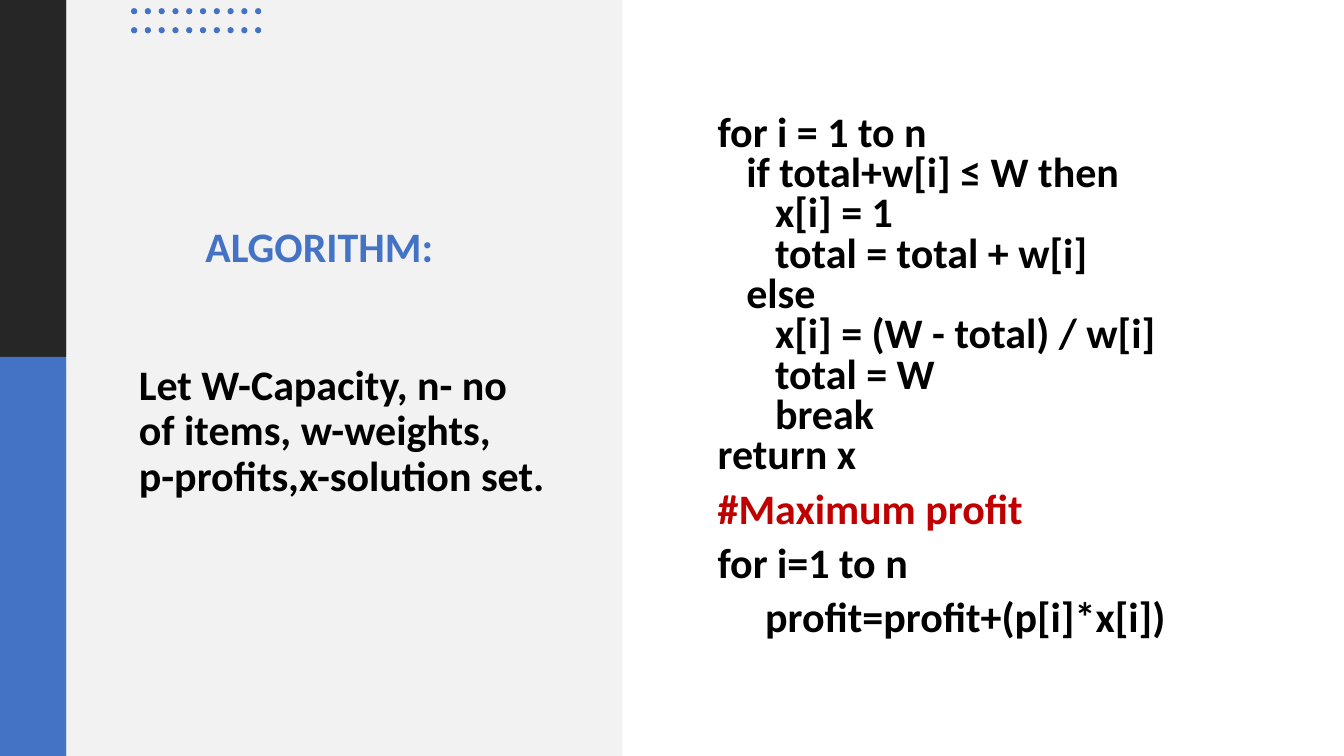
import pptx
import pptx.util
import pptx.dml.color
import pptx.enum.shapes
import pptx.enum.text

Pt = pptx.util.Pt
RGBColor = pptx.dml.color.RGBColor
Shape = pptx.enum.shapes.MSO_SHAPE

DARK = RGBColor(0x26, 0x26, 0x26)
BLUE = RGBColor(0x44, 0x72, 0xC4)
PALE = RGBColor(0xF2, 0xF2, 0xF2)
BLACK = RGBColor(0, 0, 0)
RED = RGBColor(0xC0, 0, 0)

PAGE_WIDTH, PAGE_HEIGHT = 960, 540
STRIP_WIDTH, STRIP_SPLIT = 47.5, 255
PANEL_RIGHT = 444.5

# Text, left indent, space before, colour
CODE_LINES = [
    ("for i = 1 to n", 0, 0, BLACK),
    ("if total+w[i] ≤ W then", 20.5, 0, BLACK),
    ("x[i] = 1", 41, 0, BLACK),
    ("total = total + w[i]", 41, 0, BLACK),
    ("else", 20.5, 0, BLACK),
    ("x[i] = (W - total) / w[i]", 41, 0, BLACK),
    ("total = W", 41, 0, BLACK),
    ("break", 41, 0, BLACK),
    ("return x", 0, 0, BLACK),
    ("#Maximum profit", 0, 10, RED),
    ("for i=1 to n", 0, 10, BLACK),
    ("profit=profit+(p[i]*x[i])", 34, 10, BLACK),
]


def place(shape, box):
    shape.left, shape.top, shape.width, shape.height = map(Pt, box)


def add_filled(shapes, kind, box, color):
    shape = shapes.add_shape(kind, *map(Pt, box))
    shape.shadow.inherit = False
    shape.fill.solid()
    shape.fill.fore_color.rgb = color
    shape.line.fill.background()


def prepare_frame(frame):
    frame.word_wrap = True
    frame.auto_size = pptx.enum.text.MSO_AUTO_SIZE.NONE
    frame.vertical_anchor = pptx.enum.text.MSO_ANCHOR.MIDDLE


def write_para(para, text, color=BLACK, indent=0, before=0, after=0, spacing=0.9):
    para.alignment = pptx.enum.text.PP_ALIGN.LEFT
    para.line_spacing = spacing
    para.space_before, para.space_after = Pt(before), Pt(after)
    para._p.get_or_add_pPr().set("marL", str(Pt(indent)))
    span = para.add_run()
    span.text = text
    span.font.name, span.font.size, span.font.bold = "Calibri", Pt(30), True
    span.font.color.rgb = color


def add_panels(page, box):
    left, top, width, height = box
    split = top + STRIP_SPLIT
    add_filled(page.shapes, Shape.RECTANGLE, (left, top, STRIP_WIDTH, STRIP_SPLIT), DARK)
    add_filled(page.shapes, Shape.RECTANGLE,
               (left, split, STRIP_WIDTH, height - STRIP_SPLIT), BLUE)
    add_filled(page.shapes, Shape.RECTANGLE,
               (left + STRIP_WIDTH, top, width - STRIP_WIDTH, height), PALE)


def add_dots(page, box, columns=10, rows=2, size=4.4):
    left, top, width, height = box
    group = page.shapes.add_group_shape()
    for row in range(rows):
        for column in range(columns):
            x = left + column * (width - size) / (columns - 1)
            y = top + row * (height - size) / (rows - 1)
            add_filled(group.shapes, Shape.OVAL, (x, y, size, size), BLUE)


def fill_title(page, box):
    title = page.shapes.title
    place(title, box)
    # Bring the title in front of the panels
    title.element.getparent().append(title.element)
    frame = title.text_frame
    prepare_frame(frame)
    write_para(frame.paragraphs[0], "ALGORITHM:", color=BLUE, indent=47.5, after=66)
    write_para(frame.add_paragraph(), "Let W-Capacity, n- no of items, w-weights,")
    write_para(frame.add_paragraph(), "p-profits,x-solution set.")


def add_code(page, box):
    frame = page.shapes.add_textbox(*map(Pt, box)).text_frame
    prepare_frame(frame)
    frame.margin_top = Pt(25)
    for number, (text, indent, before, color) in enumerate(CODE_LINES):
        para = frame.add_paragraph() if number else frame.paragraphs[0]
        write_para(para, text, color=color, indent=indent, before=before, spacing=0.8)


deck = pptx.Presentation()
deck.slide_width, deck.slide_height = Pt(PAGE_WIDTH), Pt(PAGE_HEIGHT)
page = deck.slides.add_slide(deck.slide_layouts.get_by_name("Title Only"))

add_panels(page, (0, 0, PANEL_RIGHT, PAGE_HEIGHT))
add_dots(page, (93.6, 5.8, 93, 18))
fill_title(page, (92, 105, 309, 309))
add_code(page, (505.5, 39.6, 401.8, 439.2))

deck.save("out.pptx")
